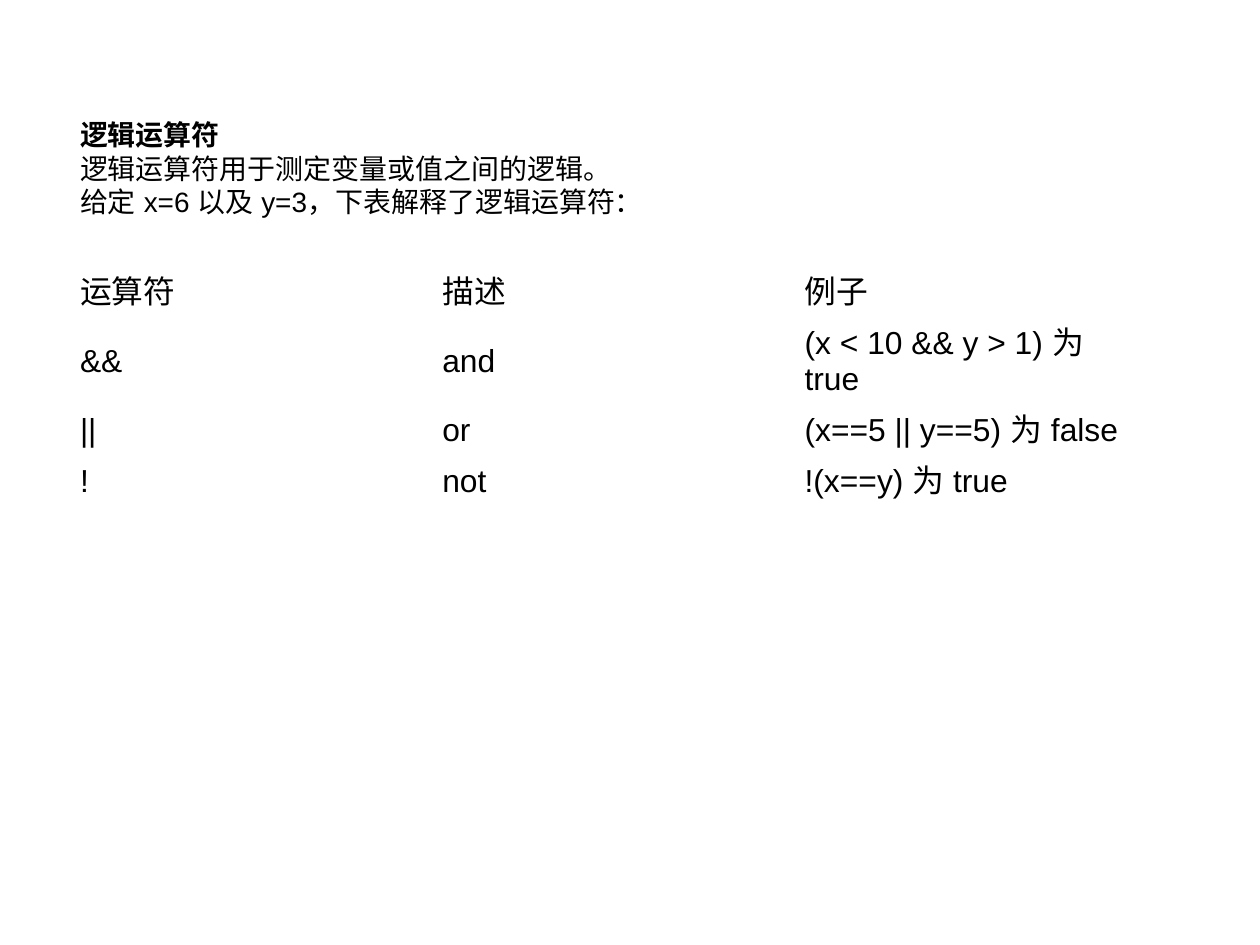
from dataclasses import dataclass

from lxml.etree import SubElement
from pptx import Presentation
from pptx.dml.color import RGBColor
from pptx.enum.lang import MSO_LANGUAGE_ID
from pptx.enum.text import MSO_ANCHOR, MSO_AUTO_SIZE, PP_ALIGN
from pptx.oxml.ns import qn
from pptx.util import Pt


@dataclass(frozen=True)
class Theme:
    typeface: str = "Arial"
    ink: RGBColor = RGBColor(0, 0, 0)
    paper: RGBColor = RGBColor(255, 255, 255)
    intro_size: float = 17.6
    table_size: float = 20


INSETS = {
    "margin_left": Pt(7.92),
    "margin_right": Pt(7.92),
    "margin_top": Pt(4.32),
    "margin_bottom": Pt(4.32),
    "vertical_anchor": MSO_ANCHOR.MIDDLE,
}


def apply(target, values):
    for name, value in values.items():
        setattr(target, name, value)


class LessonSlide:
    def __init__(self, deck, theme):
        self.theme = theme
        self.slide = deck.slides.add_slide(deck.slide_layouts[5])
        fill = self.slide.background.fill
        fill.solid()
        fill.fore_color.rgb = theme.paper

    def style(self, paragraph, size, bold=False):
        apply(paragraph, {"alignment": PP_ALIGN.LEFT, "line_spacing": 1.0})
        paragraph._p.get_or_add_pPr().set("hangingPunct", "0")
        for run in paragraph.runs:
            apply(run.font, {
                "name": self.theme.typeface,
                "size": Pt(size),
                "bold": bold,
                "language_id": MSO_LANGUAGE_ID.SIMPLIFIED_CHINESE,
            })
            run.font.color.rgb = self.theme.ink
            east_asian = SubElement(run._r.get_or_add_rPr(), qn("a:ea"))
            east_asian.set("typeface", self.theme.typeface)

    def heading(self, lines, left, top, width, height):
        intro = self.slide.shapes.title
        apply(intro, {"left": Pt(left), "top": Pt(top),
                      "width": Pt(width), "height": Pt(height)})
        frame = intro.text_frame
        frame.text = "\n".join(lines)
        apply(frame, INSETS | {"word_wrap": True, "auto_size": MSO_AUTO_SIZE.NONE})
        for index, paragraph in enumerate(frame.paragraphs):
            self.style(paragraph, self.theme.intro_size, bold=index == 0)

    def table(self, rows, left, top, width, row_heights):
        operators = self.slide.shapes.add_table(
            len(rows), len(rows[0]), Pt(left), Pt(top),
            Pt(width), Pt(sum(row_heights))).table
        apply(operators, {"first_row": False, "horz_banding": False})
        for row, height, texts in zip(operators.rows, row_heights, rows):
            row.height = Pt(height)
            for cell, text in zip(row.cells, texts):
                cell.text = text
                apply(cell, INSETS)
                cell.fill.background()
                self.style(cell.text_frame.paragraphs[0], self.theme.table_size)


def main():
    deck = Presentation()
    apply(deck, {"slide_width": Pt(793.7), "slide_height": Pt(595.28)})
    lesson = LessonSlide(deck, Theme())
    left = 42.5
    lesson.heading([
        "逻辑运算符",
        "逻辑运算符用于测定变量或值之间的逻辑。",
        "给定 x=6 以及 y=3，下表解释了逻辑运算符：",
    ], left, 69.84, 373.7, 72)
    lesson.table([
        ["运算符", "描述", "例子"],
        ["&&", "and", "(x < 10 && y > 1) 为 true"],
        ["||", "or", "(x==5 || y==5) 为 false"],
        ["!", "not", "!(x==y) 为 true"],
    ], left, 168.4, 684.72, [31.7, 55.4, 31.7, 31.7])
    deck.save("out.pptx")


if __name__ == "__main__":
    main()
